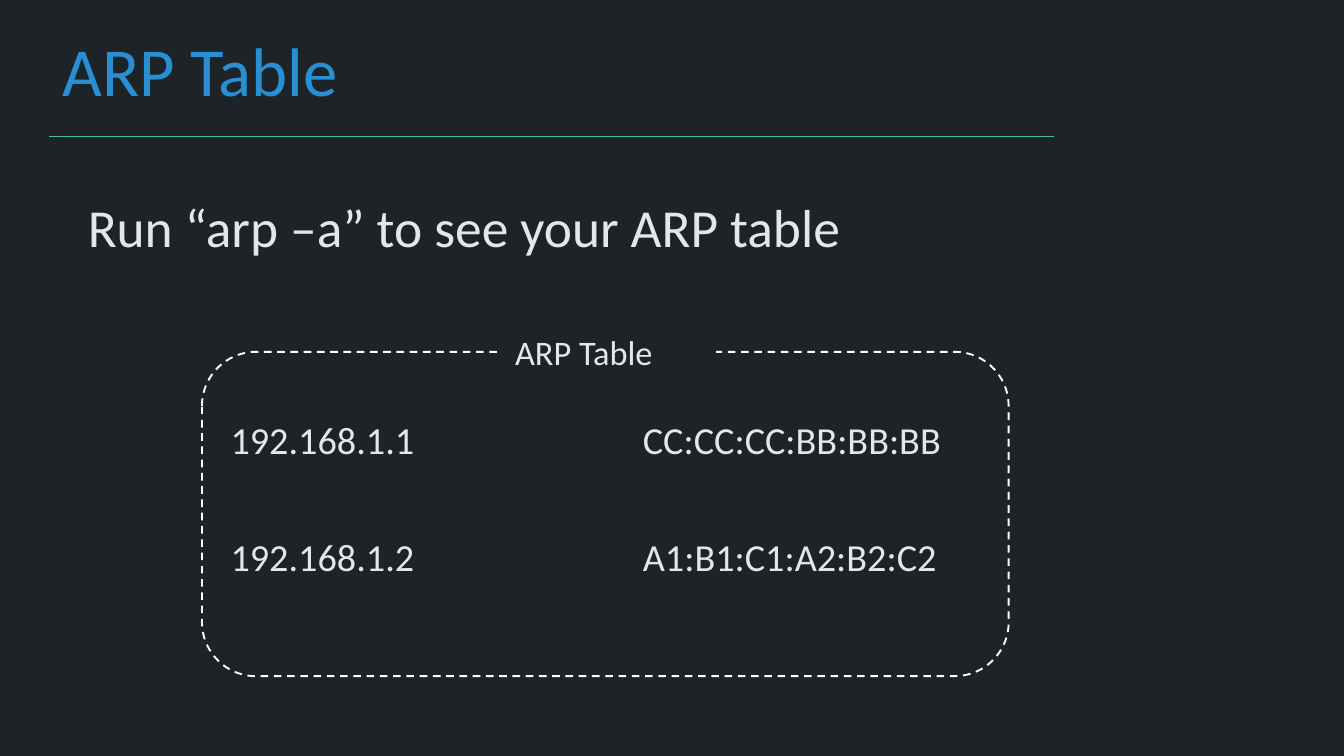
from dataclasses import dataclass

from pptx import Presentation
from pptx.dml.color import RGBColor
from pptx.enum.dml import MSO_LINE_DASH_STYLE as Dash
from pptx.enum.shapes import MSO_CONNECTOR as Connector, MSO_SHAPE as Shape
from pptx.enum.text import MSO_ANCHOR as Anchor, PP_ALIGN as Align
from pptx.oxml.ns import qn
from pptx.util import Pt
from lxml.etree import SubElement

PX = 9144


@dataclass(frozen=True)
class Theme:
    font: str = "Calibri"
    background: str = "1E2328"
    title: str = "288FD3"
    text: str = "E6E6E6"
    rule: str = "43C09A"
    frame: str = "FFFFFF"
    title_size: int = 36
    lead_size: int = 28
    row_size: int = 20
    label_size: int = 18


class Deck:
    def __init__(self, theme, width, height):
        self.theme = theme
        self.prs = Presentation()
        self.prs.slide_width, self.prs.slide_height = width * PX, height * PX
        self.s = None

    def add_slide(self):
        self.s = self.prs.slides.add_slide(self.prs.slide_layouts[6])
        self.fill(self.s.background, self.theme.background)

    def fill(self, target, color):
        target.fill.solid()
        target.fill.fore_color.rgb = RGBColor.from_string(color)

    def stroke(self, sp, color, width):
        sp.line.color.rgb = RGBColor.from_string(color)
        sp.line.width = Pt(width)

    def add_run(self, sp, text, size, color):
        tf = sp.text_frame
        tf.word_wrap = True
        tf.vertical_anchor = Anchor.TOP
        p = tf.paragraphs[0]
        p.alignment = Align.LEFT
        r = p.add_run()
        r.text = text
        r.font.name = self.theme.font
        r.font.size = Pt(size)
        r.font.color.rgb = RGBColor.from_string(color)
        return p

    def text(self, box, text, size, color):
        sp = self.s.shapes.add_textbox(*(v * PX for v in box))
        return self.add_run(sp, text, size, color)

    def row(self, box, cells, tab):
        p = self.text(box, "\t".join(cells), self.theme.row_size, self.theme.text)
        tabs = SubElement(p._p.get_or_add_pPr(), qn("a:tabLst"))
        SubElement(tabs, qn("a:tab"), pos=str(tab * PX), algn="l")

    def rule(self, x1, x2, y):
        sp = self.s.shapes.add_connector(
            Connector.STRAIGHT, x1 * PX, y * PX, x2 * PX, y * PX)
        self.stroke(sp, self.theme.rule, 0.5)
        SubElement(sp._element.spPr, qn("a:effectLst"))

    def shape(self, kind, box):
        sp = self.s.shapes.add_shape(kind, *(v * PX for v in box))
        sp.shadow.inherit = False
        return sp

    def frame(self, box):
        sp = self.shape(Shape.ROUNDED_RECTANGLE, box)
        sp.fill.background()
        self.stroke(sp, self.theme.frame, 1)
        sp.line.dash_style = Dash.DASH

    def frame_label(self, box, text):
        sp = self.shape(Shape.RECTANGLE, box)
        self.fill(sp, self.theme.background)
        sp.line.fill.background()
        self.add_run(sp, text, self.theme.label_size, self.theme.text)


def main():
    theme = Theme()
    deck = Deck(theme, 978, 550)
    deck.add_slide()
    deck.rule(36, 767, 99)
    deck.text((36, 15, 773, 71), "ARP Table", theme.title_size, theme.title)
    deck.text((54, 136, 779, 239), "Run “arp –a” to see your ARP table",
              theme.lead_size, theme.text)
    deck.frame((147, 256, 587, 236))
    entries = [
        ("192.168.1.1", "CC:CC:CC:BB:BB:BB"),
        ("192.168.1.2", "A1:B1:C1:A2:B2:C2"),
    ]
    for i, entry in enumerate(entries):
        deck.row((158, 298 + 85 * i, 600, 44), entry, 300)
    deck.frame_label((365, 236, 156, 40), "ARP Table")
    deck.prs.save("out.pptx")


if __name__ == "__main__":
    main()
